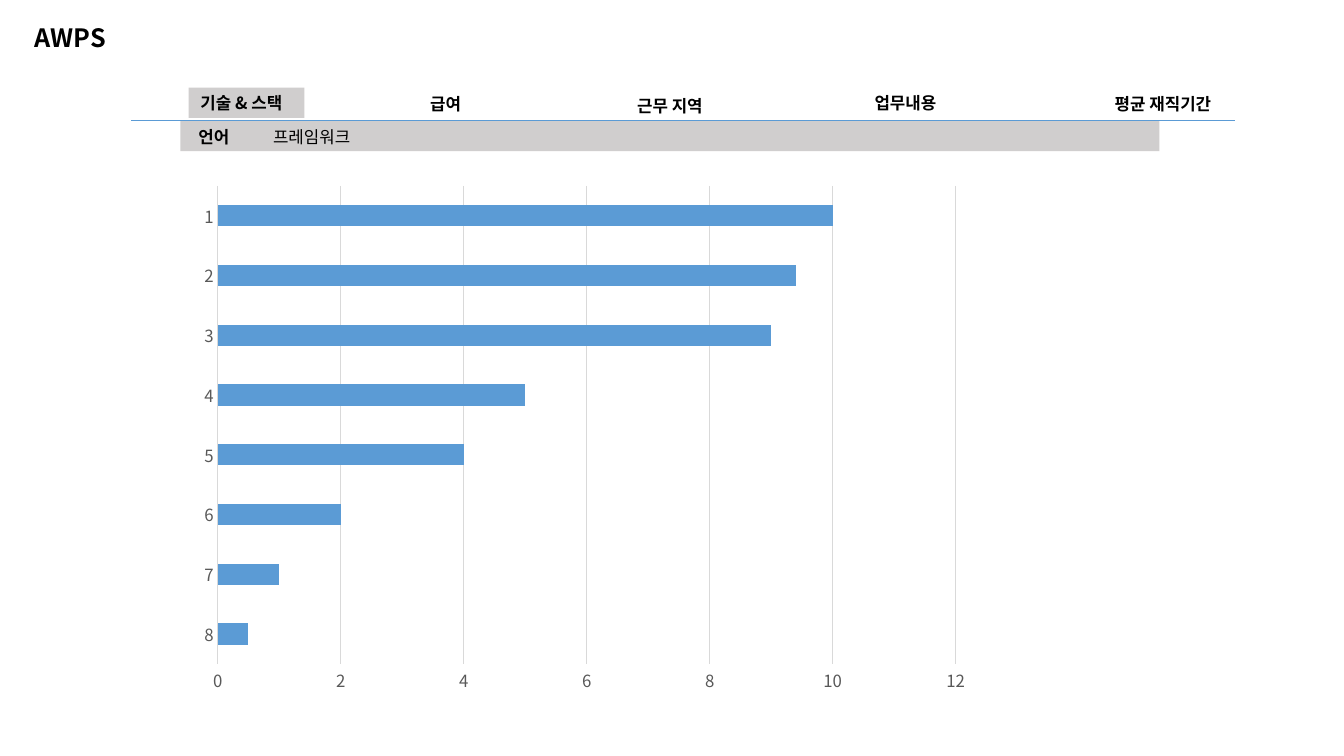
"""Build the AWPS slide: category tabs, a filter strip and a ranked bar chart."""
from dataclasses import dataclass

from lxml.etree import SubElement
from pptx import Presentation
from pptx.chart.data import CategoryChartData
from pptx.dml.color import RGBColor as RGB
from pptx.enum.chart import XL_CHART_TYPE as CHART, XL_TICK_MARK as TICK
from pptx.enum.shapes import MSO_CONNECTOR as LINE, MSO_SHAPE as SHAPE
from pptx.enum.text import MSO_ANCHOR as ANCHOR, MSO_AUTO_SIZE as AUTO, PP_ALIGN as ALIGN
from pptx.oxml.ns import qn
from pptx.util import Inches, Pt


@dataclass(frozen=True)
class Theme:
    font: str = "Noto Sans CJK KR"
    text: RGB = RGB(0, 0, 0)
    axis: RGB = RGB(0x59, 0x59, 0x59)
    grid: RGB = RGB(0xD9, 0xD9, 0xD9)
    accent: RGB = RGB(0x5B, 0x9B, 0xD5)
    band: RGB = RGB(0xD0, 0xCE, 0xCE)
    title_size: Pt = Pt(18)
    body_size: Pt = Pt(12)


THEME = Theme()
TITLE = ("AWPS", (0.24, 0.17, 0.92, 0.4))
ROW_H = 0.3
BANDS = [(1.79, 1.2, 9.71), (1.87, 0.87, 1.15)]
RULE = (1.3, 12.25, 1.19)
LABELS = [
    ("기술 & 스택", (1.89, 0.87, 1.13), ALIGN.LEFT, True),
    ("급여", (4.15, 0.88, 0.54), ALIGN.CENTER, True),
    ("근무 지역", (6.18, 0.9, 0.93), ALIGN.CENTER, True),
    ("업무내용", (8.54, 0.87, 0.88), ALIGN.CENTER, True),
    ("평균 재직기간", (10.9, 0.88, 1.27), ALIGN.CENTER, True),
    ("언어", (1.87, 1.21, 0.54), ALIGN.LEFT, True),
    ("프레임워크", (2.61, 1.21, 1.04), ALIGN.LEFT, False),
]
CHART_BOX = (1.87, 1.74, 7.86, 5.24)
RANKING = {"8": 0.5, "7": 1, "6": 2, "5": 4, "4": 5, "3": 9, "2": 9.4, "1": 10}


def inches(values):
    return [Inches(v) for v in values]


def write(sp, text, size, bold=True, align=ALIGN.LEFT):
    tf = sp.text_frame
    tf.word_wrap = False
    tf.auto_size = AUTO.SHAPE_TO_FIT_TEXT
    tf.vertical_anchor = ANCHOR.TOP
    p = tf.paragraphs[0]
    p.alignment = align
    r = p.add_run()
    r.text = text
    style(r.font, size, THEME.text, bold)
    SubElement(r.font._element, qn("a:ea"), typeface=THEME.font)


def style(font, size, color, bold=False):
    font.name, font.size, font.bold = THEME.font, size, bold
    font.color.rgb = color


def add_ranking(s):
    data = CategoryChartData()
    data.categories = list(RANKING)
    data.add_series("Series 1", list(RANKING.values()))
    chart = s.shapes.add_chart(CHART.BAR_CLUSTERED, *inches(CHART_BOX), data).chart
    chart.has_legend = chart.has_title = False
    style(chart.font, THEME.body_size, THEME.axis)
    plot = chart.plots[0]
    plot.gap_width, plot.vary_by_categories = 182, False
    fill = plot.series[0].format.fill
    fill.solid()
    fill.fore_color.rgb = THEME.accent
    cat, val = chart.category_axis, chart.value_axis
    for axis in (cat, val):
        axis.major_tick_mark = axis.minor_tick_mark = TICK.NONE
        style(axis.tick_labels.font, THEME.body_size, THEME.axis)
    val.minimum_scale, val.maximum_scale, val.major_unit = 0, 12, 2
    val.has_major_gridlines = True
    val.format.line.fill.background()
    for line in (cat.format.line, val.major_gridlines.format.line):
        line.color.rgb, line.width = THEME.grid, Pt(0.75)


prs = Presentation()
prs.slide_width, prs.slide_height = Inches(13.33), Inches(7.5)
s = prs.slides.add_slide(prs.slide_layouts[5])

text, box = TITLE
title = s.shapes.title
title.left, title.top, title.width, title.height = inches(box)
write(title, text, THEME.title_size)

for box in BANDS:
    sp = s.shapes.add_shape(SHAPE.RECTANGLE, *inches((*box, ROW_H)))
    sp.shadow.inherit = False
    sp.fill.solid()
    sp.fill.fore_color.rgb = THEME.band
    sp.line.fill.background()

x1, x2, y = inches(RULE)
rule = s.shapes.add_connector(LINE.STRAIGHT, x1, y, x2, y)
rule.line.color.rgb, rule.line.width = THEME.accent, Pt(0.5)
SubElement(rule._element.spPr, qn("a:effectLst"))

for text, box, align, bold in LABELS:
    sp = s.shapes.add_textbox(*inches((*box, ROW_H)))
    write(sp, text, THEME.body_size, bold, align)

add_ranking(s)
prs.save("out.pptx")
